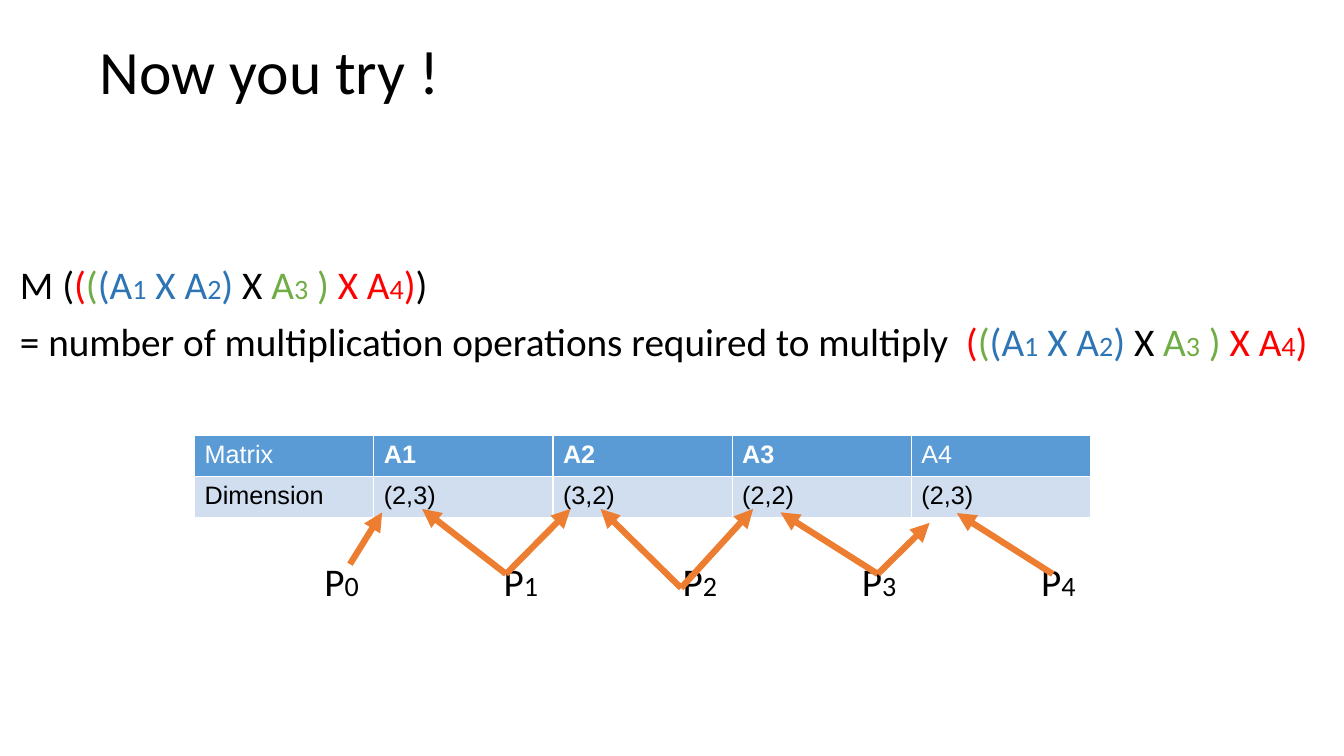
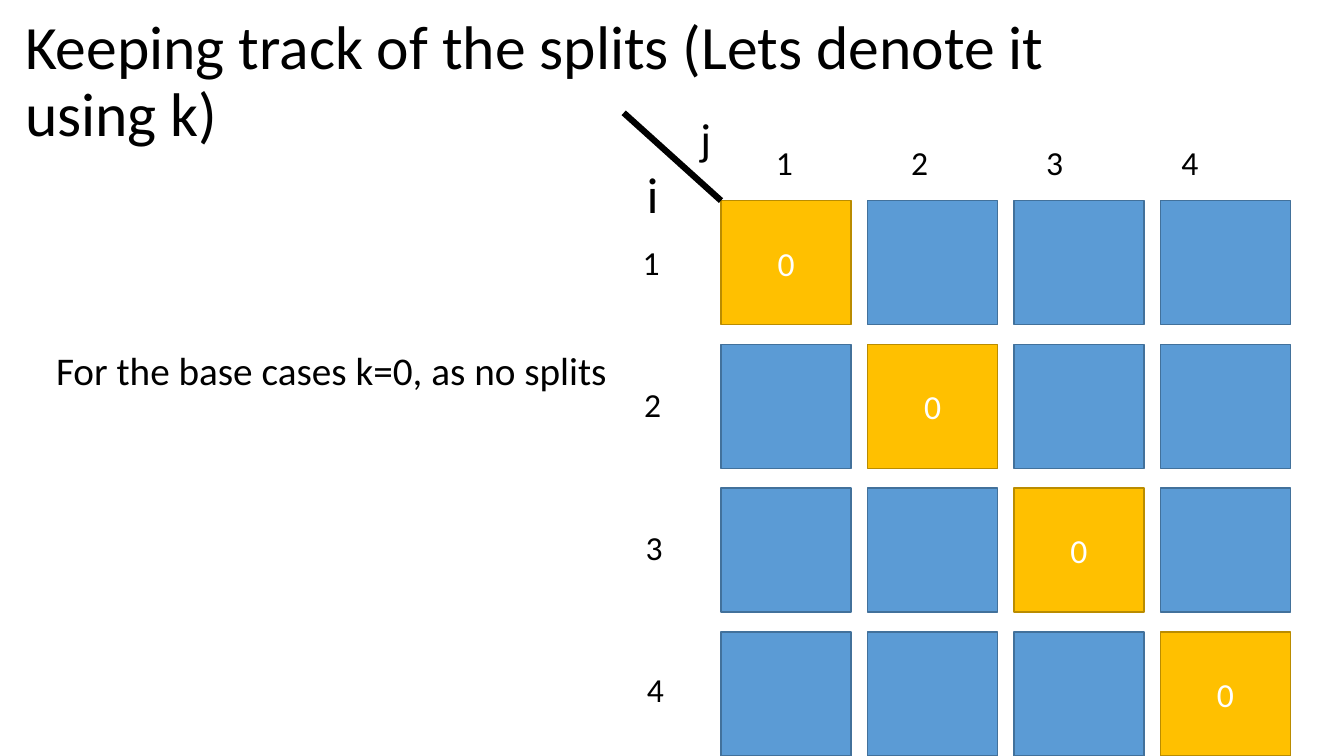
"""Builds two slides on matrix chain multiplication and its table of splits."""
from dataclasses import dataclass

from lxml.etree import SubElement
from pptx import Presentation
from pptx.dml.color import RGBColor
from pptx.enum.shapes import MSO_CONNECTOR, MSO_SHAPE
from pptx.enum.text import MSO_ANCHOR, PP_ALIGN
from pptx.oxml.ns import qn
from pptx.util import Pt


@dataclass(frozen=True)
class Theme:
    font: str = "Calibri"
    table_font: str = "Arial"
    black: str = "000000"
    white: str = "FFFFFF"
    red: str = "FF0000"
    green: str = "70AD47"
    blue: str = "2E75B5"
    orange: str = "ED7D31"
    cell: str = "5B9BD5"
    cell_line: str = "42719B"
    base: str = "FFC000"
    base_line: str = "BA8C00"
    band: str = "D0DEEF"
    title: int = 44
    body: int = 28
    sub: int = 20
    label: int = 24
    table: int = 18
    axis_i: int = 36
    axis_j: int = 32
    line: float = 4.5


T = Theme()
TITLE = {"line_spacing": 0.9}
BODY = {"line_spacing": 0.9, "space_after": Pt(0)}


def add_text(s, box, paras, anchor=MSO_ANCHOR.TOP, fmt=None):
    """Adds a text box whose paragraphs are lists of (text, colour, size) runs."""
    tf = s.shapes.add_textbox(*map(Pt, box)).text_frame
    tf.word_wrap = True
    tf.vertical_anchor = anchor
    for n, runs in enumerate(paras):
        p = tf.add_paragraph() if n else tf.paragraphs[0]
        for key, value in (fmt or {}).items():
            setattr(p, key, value)
        if n:
            p.space_before = Pt(10)
        for text, color, size in runs:
            r = p.add_run()
            r.text = text
            for key, value in {"name": T.font, "size": Pt(size)}.items():
                setattr(r.font, key, value)
            r.font.color.rgb = RGBColor.from_string(color)


def add_line(s, start, end, color, arrow=False):
    """Adds a thick straight line, with an arrowhead at its end if asked."""
    cn = s.shapes.add_connector(MSO_CONNECTOR.STRAIGHT, *map(Pt, start + end))
    cn.line.width = Pt(T.line)
    cn.line.color.rgb = RGBColor.from_string(color)
    if arrow:
        SubElement(cn.line._get_or_add_ln(), qn("a:tailEnd"), type="triangle")
    SubElement(cn._element.spPr, qn("a:effectLst"))


prs = Presentation()
prs.slide_width, prs.slide_height = Pt(960), Pt(540)
blank = prs.slide_layouts[6]

s = prs.slides.add_slide(blank)
product = [
    ("(", T.red, T.body), ("(", T.green, T.body),
    ("(A", T.blue, T.body), ("1", T.blue, T.sub),
    (" X A", T.blue, T.body), ("2", T.blue, T.sub), (")", T.blue, T.body),
    (" X ", T.black, T.body),
    ("A", T.green, T.body), ("3", T.green, T.sub), (" )", T.green, T.body),
    (" X A", T.red, T.body), ("4", T.red, T.sub), (")", T.red, T.body),
]
meaning = "= number of multiplication operations required to multiply  "
add_text(s, (7.2, 186.5, 941, 90), [
    [("M (", T.black, T.body), *product, (")", T.black, T.body)],
    [(meaning, T.black, T.body), *product],
], fmt=BODY)

rows = [
    ["Matrix", "A1", "A2", "A3", "A4"],
    ["Dimension", "(2,3)", "(3,2)", "(2,2)", "(2,3)"],
]
table = s.shapes.add_table(2, 5, Pt(139), Pt(311), Pt(640), Pt(58.4)).table
for i, row in enumerate(rows):
    fill, color = ((T.cell, T.white), (T.band, T.black))[i]
    for j, text in enumerate(row):
        cell = table.cell(i, j)
        cell.fill.solid()
        cell.fill.fore_color.rgb = RGBColor.from_string(fill)
        p = cell.text_frame.paragraphs[0]
        r = p.add_run()
        r.text = text
        bold = i == 0 and 0 < j < 4
        for key, value in {"name": T.table_font, "size": Pt(T.table), "bold": bold}.items():
            setattr(r.font, key, value)
        r.font.color.rgb = RGBColor.from_string(color)

for k in range(5):
    add_text(s, (224.6 + 128 * k, 394.6, 39.8, 41),
             [[("P", T.black, T.body), (str(k), T.black, T.sub)]])

arrows = [
    ((250, 403), [(273, 366)]),
    ((361.5, 410), [(301.5, 363.5), (407.5, 363.5)]),
    ((486.5, 420), [(429, 363.5), (538, 363.5)]),
    ((627, 410), [(557.5, 366), (664, 373.5)]),
    ((752, 410), [(683.5, 366.5)]),
]
for start, ends in arrows:
    for end in ends:
        add_line(s, start, end, T.orange, arrow=True)

add_text(s, (64, 23, 765, 60), [[("Now you try !", T.black, T.title)]],
         MSO_ANCHOR.MIDDLE, TITLE)

s = prs.slides.add_slide(blank)
add_text(s, (10.8, 7.2, 828, 104.4),
         [[("Keeping track of the splits (Lets denote it using k)", T.black, T.title)]],
         MSO_ANCHOR.MIDDLE, TITLE)

left, top, width, height = 515, 143.3, 93, 88.6
col_step, row_step = 104.6, 102.7
for i in range(4):
    for j in range(4):
        box = (left + j * col_step, top + i * row_step, width, height)
        sp = s.shapes.add_shape(MSO_SHAPE.RECTANGLE, *map(Pt, box))
        sp.shadow.inherit = False
        fill, line = (T.base, T.base_line) if i == j else (T.cell, T.cell_line)
        sp.fill.solid()
        sp.fill.fore_color.rgb = RGBColor.from_string(fill)
        sp.line.color.rgb = RGBColor.from_string(line)
        sp.line.width = Pt(1)
        if i == j:
            tf = sp.text_frame
            tf.vertical_anchor = MSO_ANCHOR.MIDDLE
            p = tf.paragraphs[0]
            p.alignment = PP_ALIGN.CENTER
            r = p.add_run()
            r.text = "0"
            for key, value in {"name": T.font, "size": Pt(T.label)}.items():
                setattr(r.font, key, value)
            r.font.color.rgb = RGBColor.from_string(T.white)
    number = [[(str(i + 1), T.black, T.label)]]
    add_text(s, (547.2 + 96.5 * i, 98, 29, 36), number)
    add_text(s, (452 + i, 169.2 + 101.8 * i, 29, 36), number)

add_line(s, (left, top), (445.5, 80.6), T.black)
add_text(s, (493.2, 75.6, 22.6, 46), [[("j", T.black, T.axis_j)]])
add_text(s, (455, 113, 23.2, 51), [[("i", T.black, T.axis_i)]])
add_text(s, (33, 244, 415, 41),
         [[("For the base cases k=0, as no splits", T.black, T.body)]])

prs.save("out.pptx")
